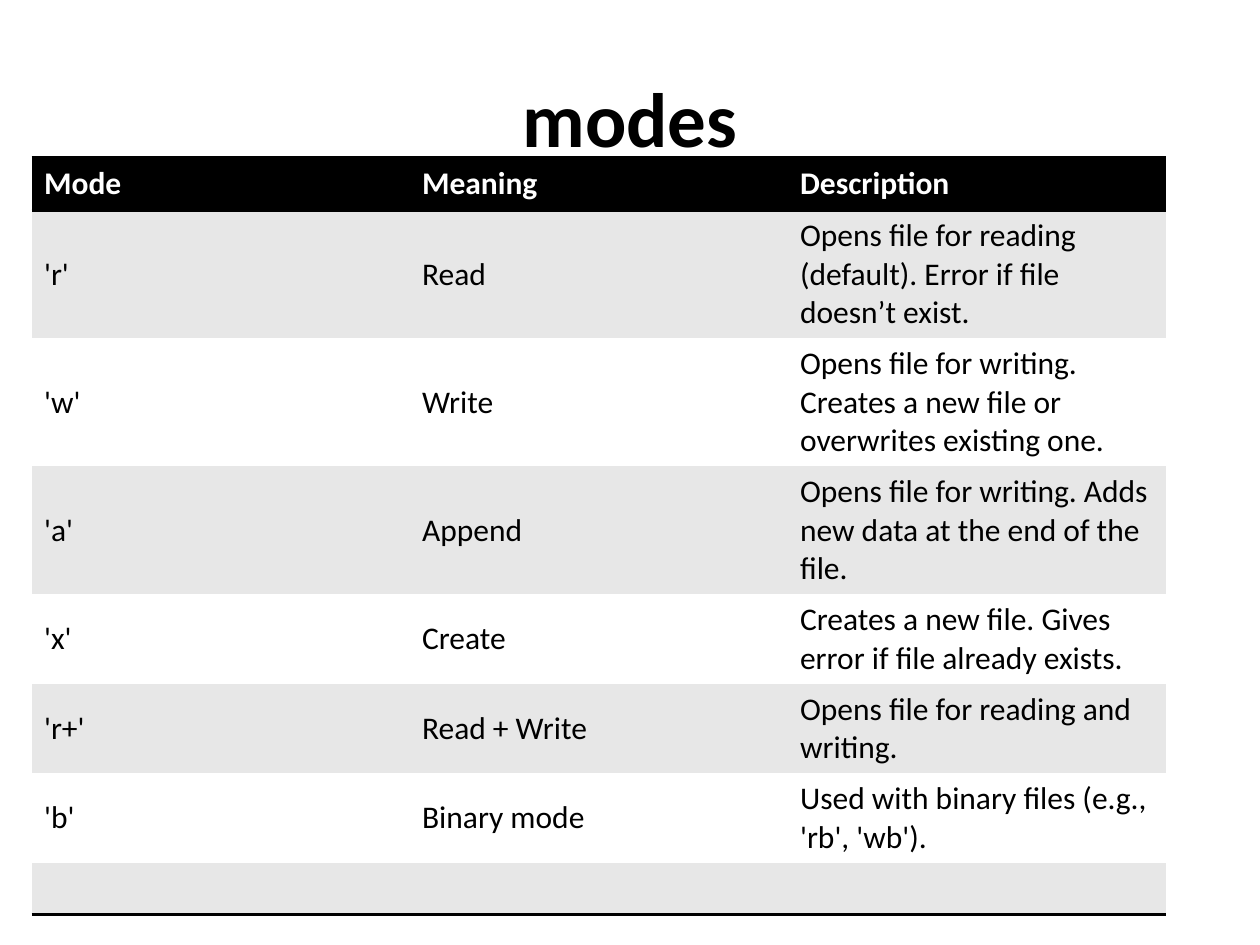
from lxml.etree import SubElement as Sub
from pptx import Presentation
from pptx.dml.color import RGBColor as Rgb
from pptx.enum.text import MSO_ANCHOR as Anchor, PP_ALIGN as Align
from pptx.oxml.ns import qn
from pptx.util import Inches, Pt

FONT = "Calibri"
HUES = {"ink": "000000", "paper": "FFFFFF", "band": "E7E7E7"}
PLAIN = "{2D5ABB26-0587-4C30-8999-92F81FD0307C}"
ROWS = [
    ("Mode", "Meaning", "Description"),
    ("'r'", "Read", "Opens file for reading (default). Error if file doesn’t exist."),
    ("'w'", "Write", "Opens file for writing. Creates a new file or overwrites existing one."),
    ("'a'", "Append", "Opens file for writing. Adds new data at the end of the file."),
    ("'x'", "Create", "Creates a new file. Gives error if file already exists."),
    ("'r+'", "Read + Write", "Opens file for reading and writing."),
    ("'b'", "Binary mode", "Used with binary files (e.g., 'rb', 'wb')."),
    ("", "", ""),
]
HEIGHTS = [0.42] + [1.01] * 3 + [0.71] * 3 + [0.41]


def write(frame, text, size=18, hue="ink", bold=False, align=Align.LEFT):
    """Put formatted text into a text frame."""
    frame.text = text
    para = frame.paragraphs[0]
    para.alignment = align
    font = para.font
    if para.runs:
        font = para.runs[0].font
    font.name, font.size, font.bold = FONT, Pt(size), bold
    font.color.rgb = Rgb.from_string(HUES[hue])


def rule(cell, side):
    """Draw a two-point line on one side of a cell."""
    line = Sub(cell._tc.get_or_add_tcPr(), qn(f"a:ln{side}"), w=str(Pt(2)))
    fill = Sub(line, qn("a:solidFill"))
    Sub(fill, qn("a:srgbClr"), val=HUES["ink"])


def add_title(slide, text, left, top, width, height):
    """Place the title in the given box."""
    title = slide.shapes.title
    title.left, title.top = Inches(left), Inches(top)
    title.width, title.height = Inches(width), Inches(height)
    title.text_frame.vertical_anchor = Anchor.MIDDLE
    write(title.text_frame, text, size=44, bold=True, align=Align.CENTER)


def add_modes(slide, left, top, width):
    """Place the banded table of file modes."""
    frame = slide.shapes.add_table(
        len(ROWS), len(ROWS[0]), Inches(left), Inches(top),
        Inches(width), Inches(sum(HEIGHTS)))
    table = frame.table
    table._tbl.tblPr.find(qn("a:tableStyleId")).text = PLAIN
    for r, (row, high) in enumerate(zip(ROWS, HEIGHTS)):
        table.rows[r].height = Inches(high)
        head, last = r == 0, r == len(ROWS) - 1
        back = "ink" if head else "band" if r % 2 else "paper"
        sides = "TB" if head else "B" if last else ""
        for c, text in enumerate(row):
            cell = table.cell(r, c)
            cell.vertical_anchor = Anchor.MIDDLE
            for side in sides:
                rule(cell, side)
            cell.fill.solid()
            cell.fill.fore_color.rgb = Rgb.from_string(HUES[back])
            write(cell.text_frame, text, hue="paper" if head else "ink", bold=head)


def main():
    """Build and save the slide."""
    deck = Presentation()
    deck.slide_width, deck.slide_height = Inches(10), Inches(7.5)
    slide = deck.slides.add_slide(deck.slide_layouts[5])
    add_title(slide, "modes", 0.5, 0.3, 9, 1.25)
    add_modes(slide, 0.25, 1.25, 9)
    deck.save("out.pptx")


if __name__ == "__main__":
    main()
